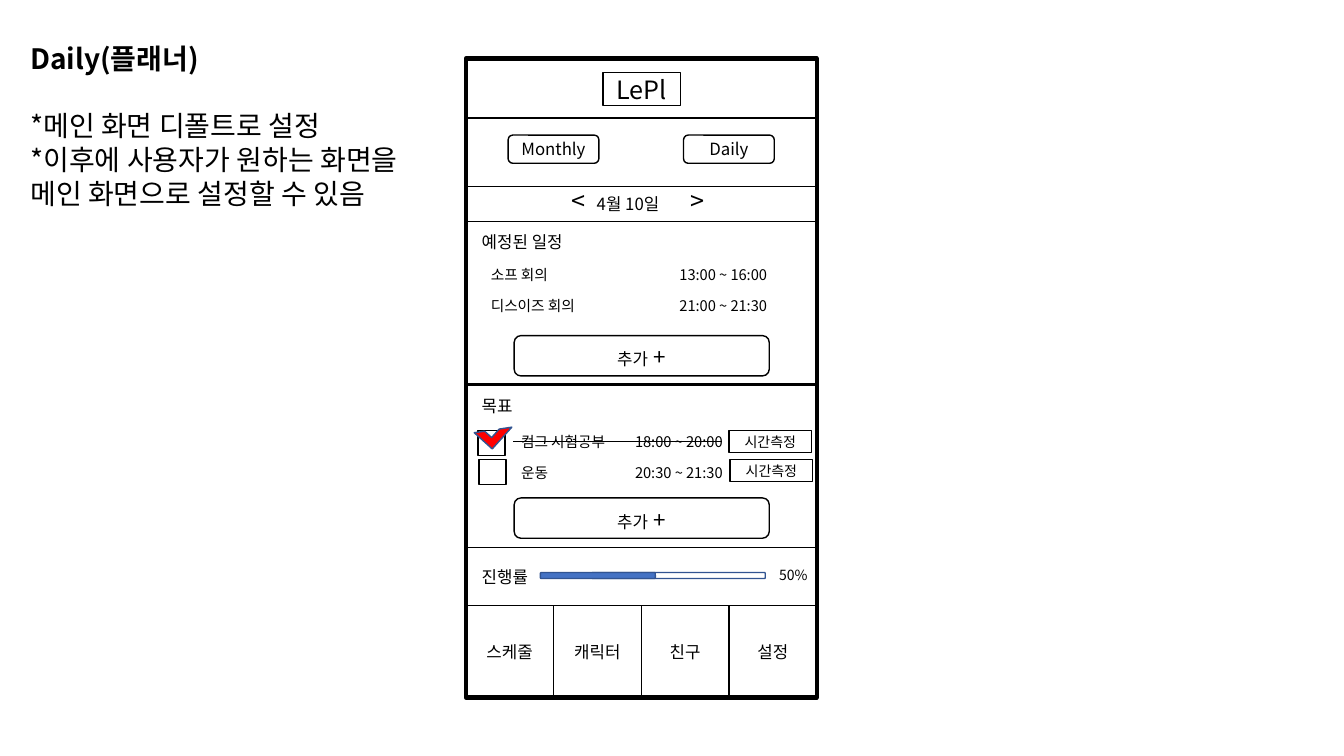
"""Build the daily planner wireframe slide."""
from lxml import etree
from pptx import Presentation
from pptx.dml.color import RGBColor
from pptx.enum.shapes import MSO_CONNECTOR, MSO_SHAPE
from pptx.enum.text import MSO_ANCHOR, MSO_AUTO_SIZE, PP_ALIGN
from pptx.oxml.ns import qn
from pptx.util import Inches, Pt

RECT, ROUND, FRAME = MSO_SHAPE.RECTANGLE, MSO_SHAPE.ROUNDED_RECTANGLE, MSO_SHAPE.HALF_FRAME
LEFT, CENTER = PP_ALIGN.LEFT, PP_ALIGN.CENTER
TOP, MIDDLE = MSO_ANCHOR.TOP, MSO_ANCHOR.MIDDLE
FONT = "Noto Sans CJK KR"
BLACK, WHITE, RED, BLUE, NAVY = "000000", "FFFFFF", "FF0000", "4472C4", "325491"

TITLE = "Daily(플래너)"
NOTES = ["*메인 화면 디폴트로 설정", "*이후에 사용자가 원하는 화면을 ", "메인 화면으로 설정할 수 있음"]
MENU = ["스케줄", "캐릭터", "친구", "설정"]
VIEWS = ["Monthly", "Daily"]
DATE = [("<\t", 18), ("4월 10일", 12), ("\t>", 18)]
STOPS = [0.25, 1.18]
ADD = [("추가", 12), (" ", 18), ("+", 16)]
HEADS = [("예정된 일정", 2.25), ("목표", 3.88), ("진행률", 5.57)]
PLANS = [("소프 회의", "13:00 ~ 16:00"), ("디스이즈 회의", "21:00 ~ 21:30")]
GOALS = [("컴그 시험공부", "18:00 ~ 20:00"), ("운동", "20:30 ~ 21:30")]
TIMER = "시간측정"
LISTS = [(PLANS, 2.59, 4.77, 6.64), (GOALS, 4.24, 5.07, 6.2)]
X, WIDE, STEP = 4.62, 3.48, 0.31
BANDS = [(0.58, 0.59), (1.85, 0.35), (2.2, 1.61), (3.82, 1.61)]


def tint(hue):
    return RGBColor.from_string(hue)


def apply(item, form):
    for name, value in form.items():
        setattr(item, name, value)


def place(item, box):
    apply(item, dict(zip(("left", "top", "width", "height"), map(Inches, box))))


def write(frame, lines, bold=False, align=LEFT, anchor=TOP, lead=None):
    apply(frame, {"word_wrap": True, "auto_size": MSO_AUTO_SIZE.NONE, "vertical_anchor": anchor})
    for i, runs in enumerate(lines):
        para = frame.add_paragraph() if i else frame.paragraphs[0]
        apply(para, {"alignment": align, "line_spacing": lead, "space_before": Pt(0)})
        for text, size in runs:
            run = para.add_run()
            run.text = text
            apply(run.font, {"name": FONT, "size": Pt(size), "bold": bold})
            run.font.color.rgb = tint(BLACK)
            east = etree.SubElement(run.font._element, qn("a:ea"))
            east.set("typeface", FONT)


def draw(kind, box, runs=(), fill=None, line=BLACK, width=1):
    shape = slide.shapes.add_shape(kind, *map(Inches, box))
    shape.shadow.inherit = False
    if fill:
        shape.fill.solid()
        shape.fill.fore_color.rgb = tint(fill)
    else:
        shape.fill.background()
    shape.line.color.rgb = tint(line)
    shape.line.width = Pt(width)
    if runs:
        write(shape.text_frame, [runs], align=CENTER, anchor=MIDDLE)
    return shape


def label(box, runs):
    frame = slide.shapes.add_textbox(*map(Inches, box)).text_frame
    write(frame, [runs])
    return frame.paragraphs[0]


deck = Presentation()
apply(deck, {"slide_width": Inches(13.33), "slide_height": Inches(7.5)})
slide = deck.slides.add_slide(deck.slide_layouts[1])

title, body = slide.placeholders
place(title, (0.2, 0.36, 4.31, 0.44))
write(title.text_frame, [[(TITLE, 20)]], bold=True, lead=Pt(24))
place(body, (0.2, 1.03, 4.31, 1.42))
write(body.text_frame, [[(note, 20)] for note in NOTES], lead=Pt(24))
for para in body.text_frame.paragraphs:
    props = para._p.get_or_add_pPr()
    props.set("marL", "0")
    props.set("indent", "0")
    etree.SubElement(props, qn("a:buNone"))

draw(RECT, (X, 0.58, WIDE, 6.34), width=3)
cell = WIDE / len(MENU)
for i, name in enumerate(MENU):
    draw(RECT, (X + i * cell, 6.01, cell, 0.91), [(name, 12)])
for top, high in BANDS:
    draw(RECT, (X, top, WIDE, high))
draw(RECT, (5.98, 0.72, 0.77, 0.33), [("LePl", 18)])
for i, name in enumerate(VIEWS):
    draw(ROUND, (5.04 + i * 1.74, 1.34, 0.9, 0.28), [(name, 12)])

date = label((5.57, 1.79, 1.57, 0.4), DATE)
tabs = etree.SubElement(date._p.get_or_add_pPr(), qn("a:tabLst"))
for stop in STOPS:
    etree.SubElement(tabs, qn("a:tab"), pos=str(Inches(stop)), algn="l")

for text, top in HEADS:
    label((4.68, top, 1.1, 0.3), [(text, 12)])
draw(ROUND, (5.87, 5.68, 1.72, 0.06), line=NAVY)
draw(ROUND, (5.36, 5.68, 1.14, 0.06), fill=BLUE, line=NAVY)
label((7.63, 5.57, 0.96, 0.27), [("50%", 10)])
for top in (3.33, 4.94):
    draw(ROUND, (5.1, top, 2.53, 0.4), ADD)

for rows, top, left, right in LISTS:
    for i, (name, time) in enumerate(rows):
        label((left, top + i * STEP, 1.18, 0.28), [(name, 10.5)])
        label((right, top + i * STEP, 1.12, 0.28), [(time, 10.5)])

strike = slide.shapes.add_connector(
    MSO_CONNECTOR.STRAIGHT, *map(Inches, (5.09, 4.38, 7.16, 4.38)))
strike.line.color.rgb = tint(BLACK)
strike.line.width = Pt(1)
etree.SubElement(strike._element.spPr, qn("a:effectLst"))

for i in range(len(GOALS)):
    draw(RECT, (7.23 + i * 0.01, 4.27 + i * 0.29, 0.82, 0.22), [(TIMER, 10)], fill=WHITE)
    draw(RECT, (4.74 + i * 0.01, 4.27 + i * 0.29, 0.27, 0.25), fill=WHITE)
check = draw(FRAME, (4.77, 4.12, 0.24, 0.29), fill=RED, line=NAVY)
check.rotation = 222

deck.save("out.pptx")
